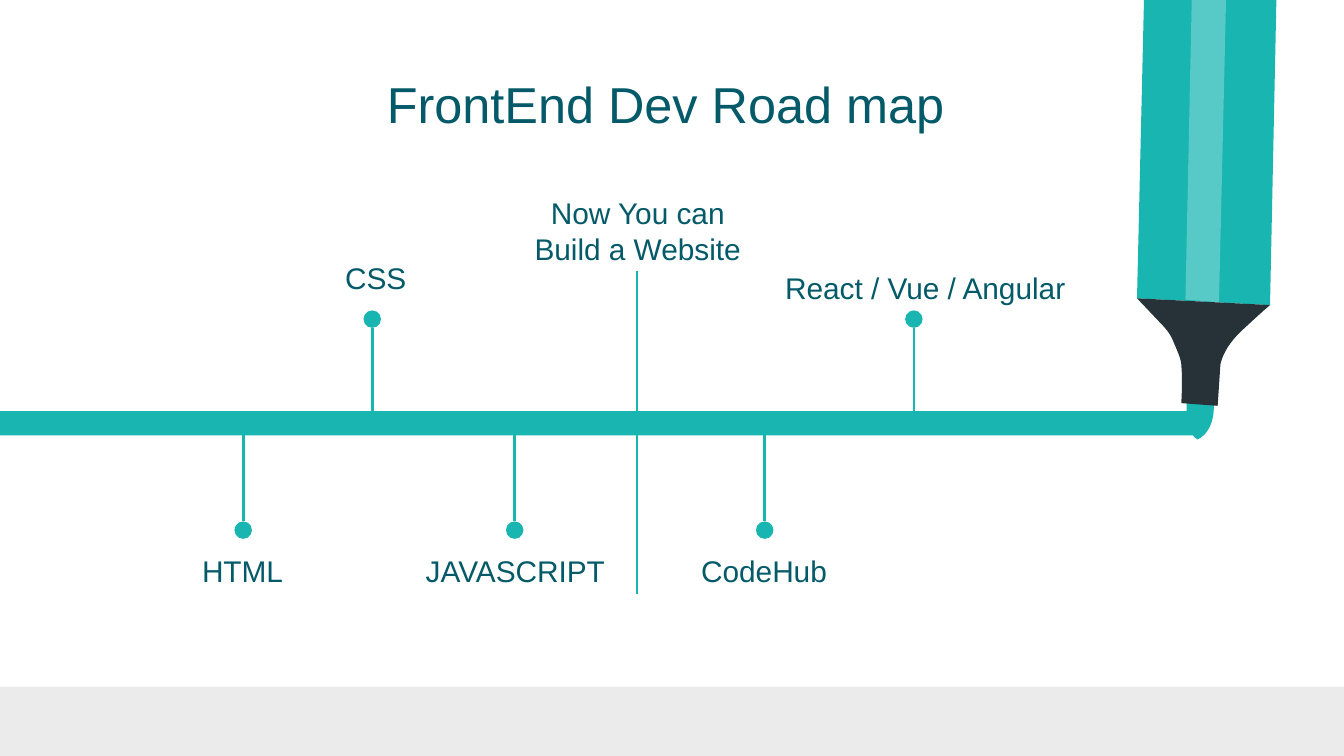
from lxml import etree
from pptx import Presentation
from pptx import util as u
from pptx.dml.color import RGBColor
from pptx.enum import shapes, text
from pptx.oxml import ns

TEAL = RGBColor(0x19, 0xB5, 0xB1)
INK = RGBColor(0x04, 0x5A, 0x68)
DARK = RGBColor(0x26, 0x32, 0x38)
GRAY = RGBColor(0xEB, 0xEB, 0xEB)
WHITE = RGBColor(0xFF, 0xFF, 0xFF)

MID = 3.16    # timeline height, shared by all stems
STEM = 0.72
DOT = 0.13


def write(box, words, size=16, color=INK, font="Arial",
          anchor=text.MSO_ANCHOR.TOP):
    frame = box.text_frame
    frame.word_wrap = True
    frame.vertical_anchor = anchor
    frame.margin_left = frame.margin_right = u.Inches(0.1)
    frame.margin_top = frame.margin_bottom = u.Inches(0.1)
    para = frame.paragraphs[0]
    para.alignment = text.PP_ALIGN.CENTER
    run = para.add_run()
    run.text = words
    run.font.size = u.Pt(size)
    run.font.name = font
    run.font.color.rgb = color


def trace(steps, count=12):
    """Turn points and cubic curves (six numbers) into a list of points."""
    points = []
    for step in steps:
        if len(step) == 2:
            points.append(step)
            continue
        ends = [points[-1], step[:2], step[2:4], step[4:]]
        for i in range(1, count + 1):
            t = i / count
            mix = ((1 - t) ** 3, 3 * t * (1 - t) ** 2,
                   3 * t * t * (1 - t), t ** 3)
            points.append(tuple(sum(m * p[k] for m, p in zip(mix, ends))
                                for k in (0, 1)))
    return points


class Board:
    def __init__(self, slide, color=TEAL, weight=1.5):
        self.slide = slide
        self.color = color
        self.weight = weight

    def paint(self, shape, color=None, alpha=None):
        shape.shadow.inherit = False
        shape.line.fill.background()
        shape.fill.solid()
        shape.fill.fore_color.rgb = color or self.color
        if alpha:
            tone = shape.fill._xPr.find(".//" + ns.qn("a:srgbClr"))
            etree.SubElement(tone, ns.qn("a:alpha")).set("val", str(alpha * 1000))

    def shape(self, kind, x, y, w, h, color=None):
        item = self.slide.shapes.add_shape(kind, *map(u.Inches, (x, y, w, h)))
        self.paint(item, color)

    def line(self, x, top, end):
        item = self.slide.shapes.add_connector(
            shapes.MSO_CONNECTOR.STRAIGHT, *map(u.Inches, (x, top, x, end)))
        item.line.color.rgb = self.color
        item.line.width = u.Pt(self.weight)
        etree.SubElement(item._element.spPr, ns.qn("a:effectLst"))

    def label(self, words, x, y, w, **style):
        box = self.slide.shapes.add_textbox(*map(u.Inches, (x, y, w, 0.35)))
        write(box, words, **style)

    def outline(self, group, steps, color=None, alpha=None):
        points = [(u.Inches(x), u.Inches(y)) for x, y in trace(steps)]
        form = group.shapes.build_freeform(*points[0], scale=1.0)
        form.add_line_segments(points[1:], close=True)
        self.paint(form.convert_to_shape(), color, alpha)

    def stop(self, x, up):
        end = MID - STEM if up else MID + STEM
        self.line(x, MID, end)
        self.shape(shapes.MSO_SHAPE.OVAL, x - DOT / 2,
                   end - DOT if up else end, DOT, DOT)


def main():
    deck = Presentation()
    deck.slide_width = u.Inches(10)
    deck.slide_height = deck.slide_width * 9 // 16
    board = Board(deck.slides.add_slide(deck.slide_layouts[6]))

    # Footer band and timeline bar
    rect = shapes.MSO_SHAPE.RECTANGLE
    board.shape(rect, 0, 5.11, 10, 0.52, GRAY)
    board.shape(rect, 0, 3.06, 8.92, 0.18)

    # Marker pen: barrel, tip, collar, shine
    pen = board.slide.shapes.add_group_shape()
    board.outline(pen, [(9.45, 2.27), (9.54, -2.05), (8.56, -2.04), (8.46, 2.22)])
    board.outline(pen, [(8.91, 3.27), (8.91, 3.27, 9.05, 3.22, 9.03, 2.98),
                        (8.83, 2.97), (8.83, 2.97, 8.81, 3.22, 8.91, 3.27)])
    board.outline(pen, [(9.06, 3.02), (9.08, 2.72),
                        (9.08, 2.72, 9.09, 2.6, 9.24, 2.46),
                        (9.39, 2.32, 9.45, 2.27, 9.45, 2.27),
                        (8.46, 2.22), (8.64, 2.41),
                        (8.68, 2.45, 8.71, 2.49, 8.73, 2.54),
                        (8.75, 2.59, 8.79, 2.67, 8.79, 2.72),
                        (8.8, 2.82, 8.79, 3, 8.79, 3)], DARK)
    board.outline(pen, [(9.07, 2.25), (9.17, -2.05), (8.91, -2.04), (8.82, 2.23)],
                  WHITE, 27)

    # Title
    board.label("FrontEnd Dev Road map ", 0.79, 0.59, 8.43, size=27,
                anchor=text.MSO_ANCHOR.MIDDLE)

    # Stops: words, stem, label left, top and width, above the bar or not
    for words, stem, x, y, w, up in [
            ("HTML", 1.81, 0.88, 4.01, 1.85, False),
            ("JAVASCRIPT", 3.83, 2.91, 4.01, 1.85, False),
            ("CodeHub", 5.69, 4.76, 4.01, 1.85, False),
            ("CSS", 2.77, 2.25, 1.83, 1.09, True),
            ("React / Vue / Angular", 6.8, 5.72, 1.91, 2.33, True)]:
        board.stop(stem, up)
        board.label(words, x, y, w)

    # Milestone
    board.line(4.74, 2.02, 4.42)
    board.label("Now You can Build a Website", 3.82, 1.35, 1.85)

    deck.save("out.pptx")


if __name__ == "__main__":
    main()
